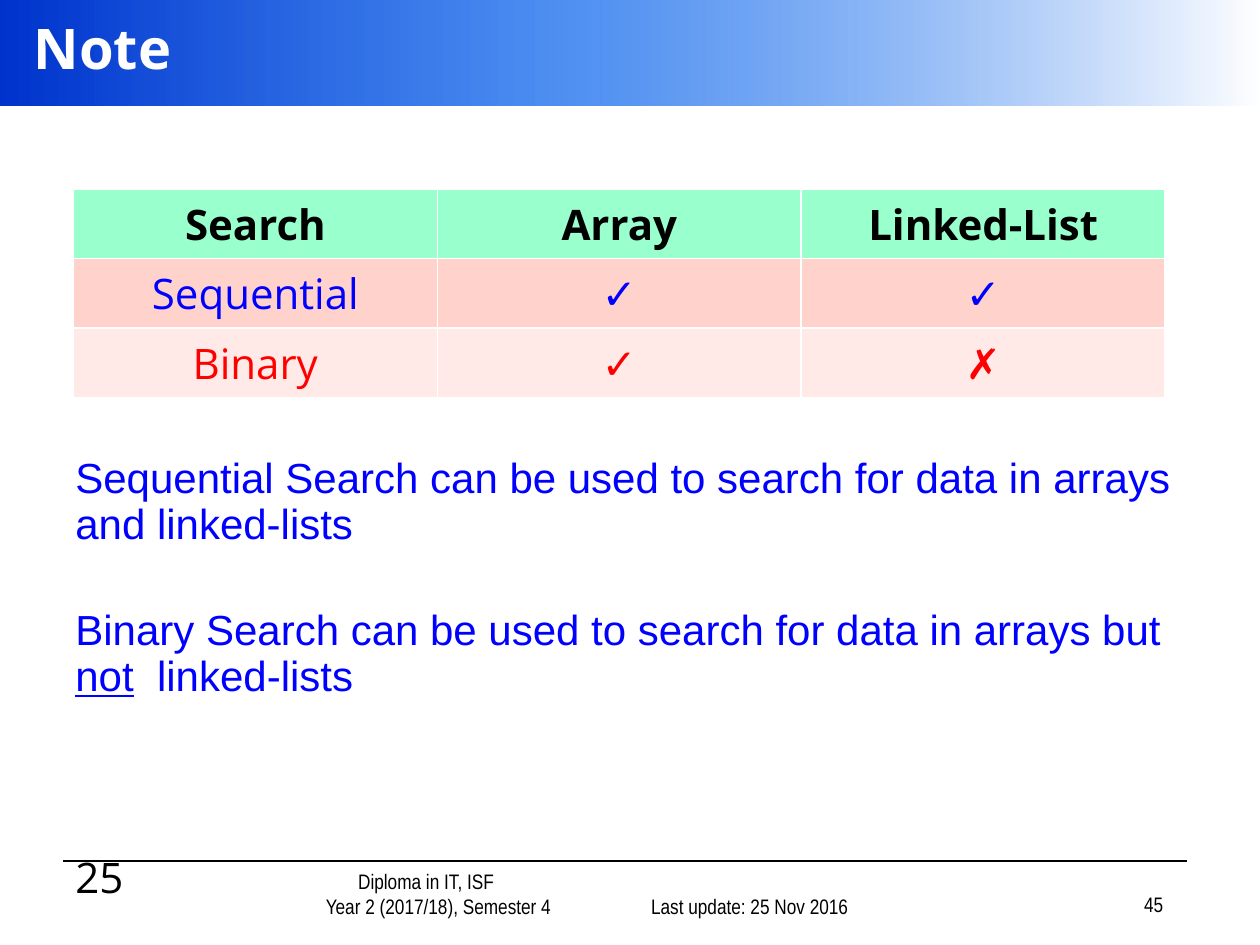
from lxml import etree
from pptx import Presentation
from pptx import util as u
from pptx.dml import color
from pptx.enum import shapes, text
from pptx.oxml import ns

Cm, Pt = u.Cm, u.Pt
CENTER, RIGHT = text.PP_ALIGN.CENTER, text.PP_ALIGN.RIGHT
MIDDLE, BOTTOM = text.MSO_ANCHOR.MIDDLE, text.MSO_ANCHOR.BOTTOM
BLACK, BLUE, RED, WHITE = "000000", "0000FF", "FF0000", "FFFFFF"


def rgb(value):
    return color.RGBColor.from_string(value)


def write(paragraph, words, size=24, font="Open Sans", fill=BLACK, bold=False,
          underline=False, align=None, before=0, spacing=None):
    run = paragraph.add_run()
    run.text = words
    run.font.size = Pt(size)
    run.font.name = font
    run.font.bold = bold
    run.font.underline = underline
    run.font.color.rgb = rgb(fill)
    paragraph.alignment = align
    paragraph.space_before = Pt(before)
    paragraph.line_spacing = spacing


def add_frame(slide, left, top, width, height, anchor=None):
    box = slide.shapes.add_textbox(Cm(left), Cm(top), Cm(width), Cm(height))
    frame = box.text_frame
    frame.word_wrap = True
    frame.vertical_anchor = anchor
    return frame


def fill_gradient(shape, stops):
    shape.fill.gradient()
    shape.fill.gradient_angle = 0
    stop_list = shape.fill.gradient_stops[0]._gs.getparent()
    for stop in list(stop_list):
        stop_list.remove(stop)
    for position, value, opacity in stops:
        stop = etree.SubElement(stop_list, ns.qn("a:gs"), pos=str(position * 1000))
        tint = etree.SubElement(stop, ns.qn("a:srgbClr"), val=value)
        etree.SubElement(tint, ns.qn("a:alpha"), val=str(opacity * 1000))


def add_banner(slide, left, top, width, height):
    banner = slide.shapes.add_shape(shapes.MSO_SHAPE.RECTANGLE,
                                    Cm(left), Cm(top), Cm(width), Cm(height))
    banner.shadow.inherit = False
    banner.line.fill.background()
    fill_gradient(banner, [(0, "0033CC", 100), (43, "005EEB", 70), (100, WHITE, 100)])
    title = add_frame(slide, left + 0.43, top, width - 0.43, height - 0.2, MIDDLE)
    write(title.paragraphs[0], "Note", size=32, fill=WHITE, bold=True)


def add_search_table(slide, left, top, width, height):
    rows = [
        (("Search", "Array", "Linked-List"), "99FFCC", BLACK),
        (("Sequential", "✓", "✓"), "FFD3CC", BLUE),
        (("Binary", "✓", "✗"), "FFEAE7", RED),
    ]
    table = slide.shapes.add_table(len(rows), 3, Cm(left), Cm(top),
                                   Cm(width), Cm(height)).table
    for row, (labels, background, ink) in enumerate(rows):
        for column, label in enumerate(labels):
            cell = table.cell(row, column)
            cell.fill.solid()
            cell.fill.fore_color.rgb = rgb(background)
            write(cell.text_frame.paragraphs[0], label, fill=ink,
                  bold=row == 0, align=CENTER)


def add_explanation(slide, left, top, width, height):
    frame = add_frame(slide, left, top, width, height)
    style = dict(font="Arial", fill=BLUE, spacing=0.9)
    write(frame.paragraphs[0], "Sequential Search can be used to search for data "
          "in arrays and linked-lists", before=4.8, **style)
    binary = frame.add_paragraph()
    for words, underline in [
        ("Binary Search can be used to search for data in arrays but ", False),
        ("not", True),
        ("  linked-lists", False),
    ]:
        write(binary, words, underline=underline, before=35, **style)


def add_footer(slide, left, top, width):
    rule = slide.shapes.add_connector(shapes.MSO_CONNECTOR.STRAIGHT, Cm(left), Cm(top),
                                      Cm(left + width), Cm(top))
    rule.line.color.rgb = rgb(BLACK)
    rule.line.width = Pt(1)
    etree.SubElement(rule._element.spPr, ns.qn("a:effectLst"))

    number = add_frame(slide, left, top - 0.3, 2.5, 1.3)
    write(number.paragraphs[0], "25")

    small = dict(size=12, font="Arial Narrow")
    course = add_frame(slide, left + 3, top + 0.23, 7.37, 1.07, BOTTOM)
    lines = [("Diploma in IT, ISF", 1.27), ("Year 2 (2017/18), Semester 4", 1.77)]
    for index, (words, indent) in enumerate(lines):
        paragraph = course.add_paragraph() if index else course.paragraphs[0]
        write(paragraph, words, align=CENTER, **small)
        paragraph._p.get_or_add_pPr().set("marL", str(Cm(indent)))

    for words, offset, drop in [("Last update: 25 Nov 2016", 10.8, 0.23),
                                ("45", 17.15, 0.18)]:
        frame = add_frame(slide, left + offset, top + drop, 5.28, 1.07, BOTTOM)
        write(frame.paragraphs[0], words, align=RIGHT, **small)


presentation = Presentation()
presentation.slide_width = Cm(25.4)
presentation.slide_height = Cm(19.05)
slide = presentation.slides.add_slide(presentation.slide_layouts[6])
add_banner(slide, 0, 0, 25.4, 2.12)
add_search_table(slide, 1.48, 3.81, 22.01, 4.2)
add_explanation(slide, 1.27, 9.1, 22.86, 6.14)
add_footer(slide, 1.27, 17.35, 22.65)
presentation.save("out.pptx")
